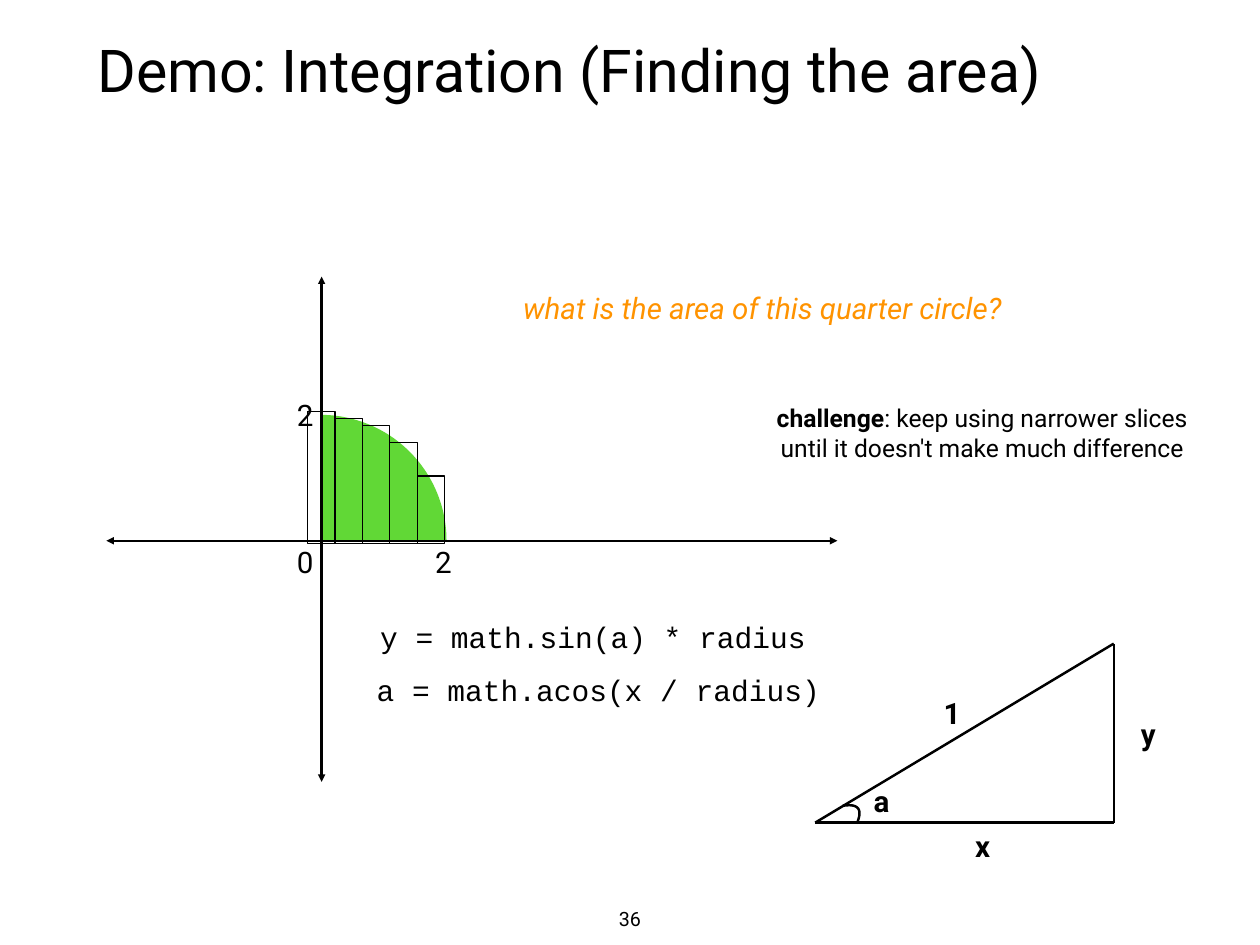
from pptx import Presentation
from pptx.dml.color import RGBColor
from pptx.enum.shapes import MSO_CONNECTOR, MSO_SHAPE
from pptx.enum.text import MSO_ANCHOR, MSO_AUTO_SIZE, PP_ALIGN
from pptx.oxml.ns import qn
from pptx.util import Inches, Pt
from lxml import etree

BLACK, GREEN, ORANGE = "000000", "61D836", "FF9300"
INSET = Inches(0.06)


def color(hex_value):
    return RGBColor.from_string(hex_value)


def set_font(run, size, name="Roboto", hex_value=BLACK, bold=False, italic=False):
    run.font.name = name
    run.font.size = Pt(size)
    run.font.color.rgb = color(hex_value)
    run.font.bold = bold
    run.font.italic = italic


def set_frame(frame, anchor=MSO_ANCHOR.MIDDLE, wrap=False):
    frame.margin_left = frame.margin_right = INSET
    frame.margin_top = frame.margin_bottom = INSET
    frame.vertical_anchor = anchor
    frame.word_wrap = wrap


def add_text(slide, box, text, size=24, align=PP_ALIGN.CENTER,
             anchor=MSO_ANCHOR.MIDDLE, wrap=False, **font):
    frame = slide.shapes.add_textbox(*map(Inches, box)).text_frame
    set_frame(frame, anchor, wrap)
    frame.auto_size = MSO_AUTO_SIZE.SHAPE_TO_FIT_TEXT
    frame.text = text
    paragraph = frame.paragraphs[0]
    paragraph.alignment = align
    set_font(paragraph.runs[0], size, **font)
    return paragraph


def add_label(slide, left, top, text, bold=False):
    add_text(slide, (left, top, 0.3, 0.51), text, bold=bold)


def add_line(slide, start, end, arrows=False):
    points = map(Inches, (*start, *end))
    line = slide.shapes.add_connector(MSO_CONNECTOR.STRAIGHT, *points)
    line.line.color.rgb = color(BLACK)
    line.line.width = Pt(2)
    if arrows:
        outline = line.line._get_or_add_ln()
        for end_tag in ("a:headEnd", "a:tailEnd"):
            etree.SubElement(outline, qn(end_tag), type="triangle")
    etree.SubElement(line._element.spPr, qn("a:effectLst"))


def add_title(slide, left, top, width, height):
    title = slide.shapes.title
    title.left, title.top = Inches(left), Inches(top)
    title.width, title.height = Inches(width), Inches(height)
    set_frame(title.text_frame, wrap=True)
    title.text_frame.text = "Demo: Integration (Finding the area)"
    paragraph = title.text_frame.paragraphs[0]
    paragraph.alignment = PP_ALIGN.LEFT
    set_font(paragraph.runs[0], 48)


def add_quarter_circle(slide, center_x, center_y, radius):
    quarter = slide.shapes.add_shape(
        MSO_SHAPE.PIE, Inches(center_x - radius), Inches(center_y - radius),
        Inches(2 * radius), Inches(2 * radius))
    # Angles are in 60000ths of a degree, scaled by 100000: from 270 to 0 degrees
    quarter.adjustments[0] = 162.0
    quarter.adjustments[1] = 0
    quarter.shadow.inherit = False
    quarter.fill.solid()
    quarter.fill.fore_color.rgb = color(GREEN)
    quarter.line.fill.background()


def add_slices(slide, left, bottom, width, heights):
    for index, height in enumerate(heights):
        piece = slide.shapes.add_shape(
            MSO_SHAPE.RECTANGLE, Inches(left + index * width),
            Inches(bottom - height), Inches(width), Inches(height))
        piece.shadow.inherit = False
        piece.fill.background()
        piece.line.color.rgb = color(BLACK)
        piece.line.width = Pt(1)


def add_plot(slide, left, top, width, height):
    origin_x, origin_y = left + 2.43, top + 2.98
    add_quarter_circle(slide, origin_x - 0.01, origin_y, 1.42)
    add_line(slide, (origin_x, top + height), (origin_x, top), arrows=True)
    add_line(slide, (left + width, origin_y), (left, origin_y), arrows=True)
    for dx, dy, text in ((-0.34, -0.02, "0"), (1.22, -0.02, "2"), (-0.34, -1.68, "2")):
        add_label(slide, origin_x + dx, origin_y + dy, text)
    add_slices(slide, origin_x - 0.16, origin_y + 0.03, 0.31,
               (1.49, 1.41, 1.33, 1.14, 0.76))


def add_angle_arc(slide, left, top):
    """Draw the angle mark as a cubic curve sampled into short segments."""
    controls = ((0, 0.01), (0.18, -0.02), (0.23, 0.05), (0.16, 0.21))
    steps = 16
    points = []
    for step in range(steps + 1):
        t = step / steps
        weights = ((1 - t) ** 3, 3 * t * (1 - t) ** 2, 3 * t * t * (1 - t), t ** 3)
        x, y = (sum(w * p[axis] for w, p in zip(weights, controls)) for axis in (0, 1))
        points.append((Inches(left + x), Inches(top + y)))
    builder = slide.shapes.build_freeform(*points[0])
    builder.add_line_segments(points[1:], close=False)
    arc = builder.convert_to_shape()
    arc.shadow.inherit = False
    arc.fill.background()
    arc.line.color.rgb = color(BLACK)
    arc.line.width = Pt(2)


def add_triangle(slide, left, top, width, height):
    right, bottom = left + width, top + height
    angle_corner, right_corner, apex = (left, bottom), (right, bottom), (right, top)
    for start, end in ((angle_corner, apex), (angle_corner, right_corner),
                       (right_corner, apex)):
        add_line(slide, start, end)
    add_angle_arc(slide, left + 0.31, bottom - 0.2)
    for dx, dy, text in ((3.61, 0.76, "y"), (1.74, 2.02, "x"),
                         (0.6, 1.52, "a"), (1.39, 0.52, "1")):
        add_label(slide, left + dx, top + dy, text, bold=True)


def add_challenge(slide, *box):
    paragraph = add_text(slide, box, "challenge", 20, wrap=True, bold=True)
    rest = paragraph.add_run()
    rest.text = ": keep using narrower slices until it doesn't make much difference"
    set_font(rest, 20)


def add_formulas(slide, left, top, width):
    for dx, dy, formula in ((0.04, 0, "y = math.sin(a) * radius"),
                            (0, 0.6, "a = math.acos(x / radius)")):
        add_text(slide, (left + dx, top + dy, width, 0.51), formula,
                 align=PP_ALIGN.LEFT, wrap=True, name="Courier New")


def main():
    deck = Presentation()
    deck.slide_width, deck.slide_height = Inches(14.22), Inches(10.66)
    slide = deck.slides.add_slide(deck.slide_layouts[5])
    add_title(slide, 1.04, 0.28, 12.14, 0.99)
    add_plot(slide, 1.2, 3.12, 8.25, 5.7)
    add_text(slide, (5.78, 3.22, 5.65, 0.51), "what is the area of this quarter circle?",
             hex_value=ORANGE, italic=True)
    add_challenge(slide, 8.59, 4.49, 4.99, 0.78)
    add_triangle(slide, 9.2, 7.26, 3.37, 2.02)
    add_formulas(slide, 4.19, 6.93, 5.4)
    add_text(slide, (6.51, 10.17, 1.2, 0.41), "36", 16, anchor=MSO_ANCHOR.TOP)
    deck.save("out.pptx")


if __name__ == "__main__":
    main()
